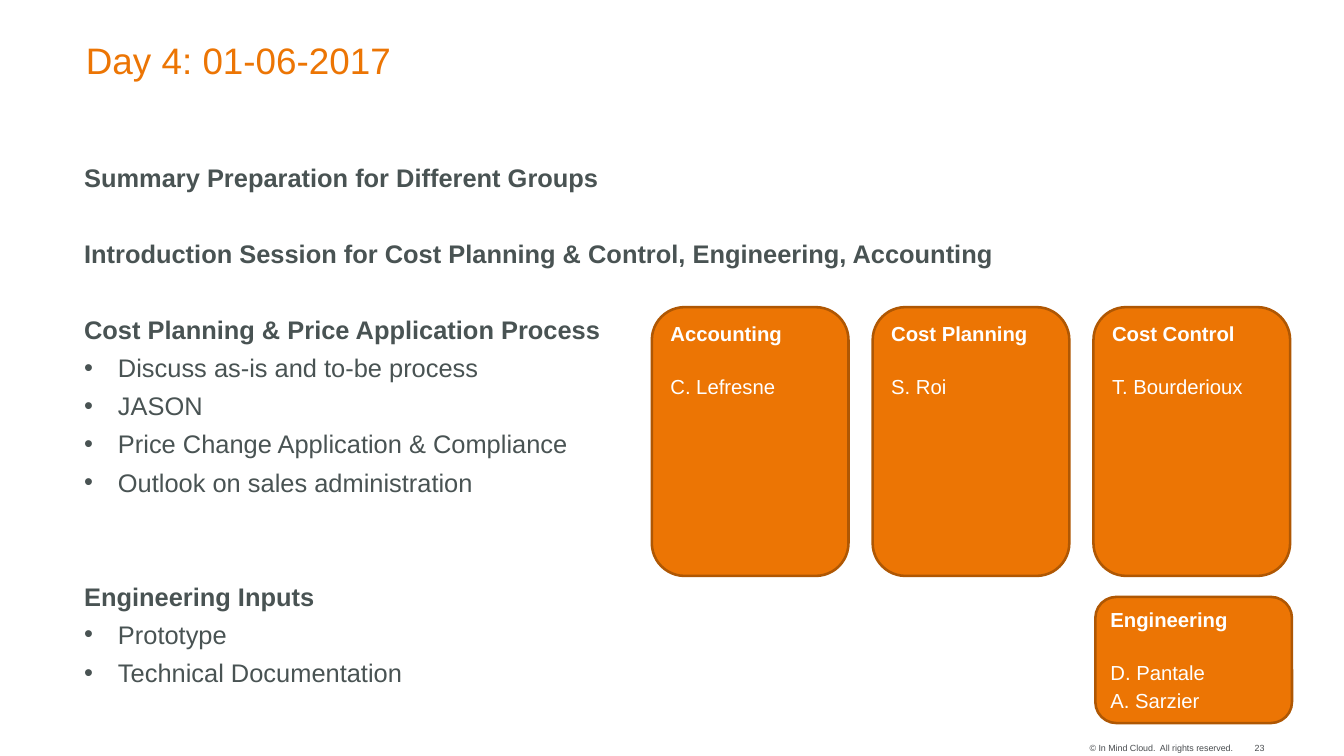
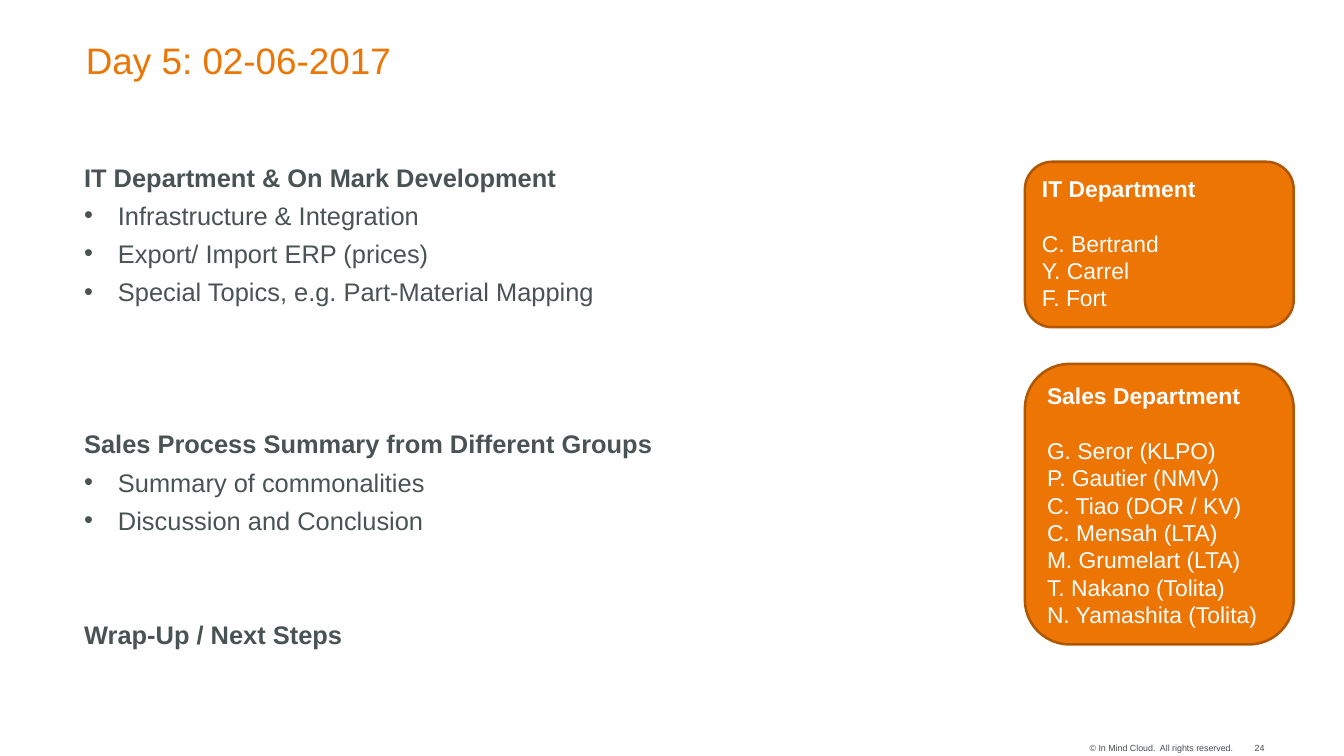
from dataclasses import dataclass

from lxml import etree
from pptx import Presentation
from pptx.dml.color import RGBColor
from pptx.enum.shapes import MSO_SHAPE
from pptx.enum.text import MSO_ANCHOR, MSO_AUTO_SIZE, PP_ALIGN
from pptx.oxml.ns import qn
from pptx.util import Inches, Pt

ROUND = MSO_SHAPE.ROUNDED_RECTANGLE
TOP = MSO_ANCHOR.TOP
FIXED = MSO_AUTO_SIZE.NONE
LEFT, RIGHT = PP_ALIGN.LEFT, PP_ALIGN.RIGHT


@dataclass(frozen=True)
class Theme:
    font: str = "Arial"
    orange: str = "EC7504"
    edge: str = "AF5703"
    text: str = "495353"
    note: str = "484C4F"
    white: str = "FFFFFF"
    title: int = 29
    body: int = 20
    small: int = 7
    gap: int = 6
    row: int = 30
    hang: float = 0.37


THEME = Theme()
WIDE, HIGH = Inches(14.7), Inches(8.27)
TITLE = (6.39, 4.96, 59.8, 5.08)
BODY = (6.26, 21.4, 87.55, 76.18)
NOTE = (80.66, 98.19, 11.09, 1.45)
PAGE = (93.27, 98.19, 0.82, 1.45)


def area(box):
    x, y, w, h = box
    return [int(n / 100) for n in (x * WIDE, y * HIGH, w * WIDE, h * HIGH)]


def place(shape, box):
    shape.left, shape.top, shape.width, shape.height = area(box)


def style(para, size, color, bold=False, align=LEFT, before=0):
    para.alignment = align
    para.space_before = Pt(before)
    para.line_spacing = 1.0
    font = para.font
    font.name = THEME.font
    font.size = Pt(size)
    font.bold = bold
    font.color.rgb = RGBColor.from_string(color)


def clear(frame):
    frame.margin_left = frame.margin_right = 0
    frame.margin_top = frame.margin_bottom = 0
    frame.vertical_anchor = TOP
    frame.auto_size = FIXED


def lines(frame, texts):
    frame.text = "\n".join(texts)
    return frame.paragraphs


def mark(para, bullet):
    props = para._p.get_or_add_pPr()
    inset = Inches(THEME.hang) if bullet else 0
    props.set("marL", str(inset))
    props.set("indent", str(-inset))
    if bullet:
        etree.SubElement(props, qn("a:buChar")).set("char", "•")
    else:
        etree.SubElement(props, qn("a:buNone"))


def head(slide, text):
    shape = slide.shapes.title
    place(shape, TITLE)
    clear(shape.text_frame)
    style(lines(shape.text_frame, [text])[0], THEME.title, THEME.orange)


def agenda(slide, parts):
    shape = slide.placeholders[1]
    place(shape, BODY)
    frame = shape.text_frame
    clear(frame)
    rows = []
    for skip, name, items in parts:
        rows.append((name, True, THEME.gap + skip * THEME.row))
        rows += [(item, False, THEME.gap) for item in items]
    paras = lines(frame, [row[0] for row in rows])
    for i, (para, (_, bold, before)) in enumerate(zip(paras, rows)):
        mark(para, not bold)
        style(para, THEME.body, THEME.text, bold,
              before=before if i else 0)


def card(slide, box, size, gap, name, people):
    shape = slide.shapes.add_shape(ROUND, *area(box))
    shape.shadow.inherit = False
    shape.fill.solid()
    shape.fill.fore_color.rgb = RGBColor.from_string(THEME.orange)
    shape.line.color.rgb = RGBColor.from_string(THEME.edge)
    shape.line.width = Pt(2)
    frame = shape.text_frame
    frame.word_wrap = True
    frame.vertical_anchor = TOP
    blank = round(size * 1.2, 1)
    for i, para in enumerate(lines(frame, [name, *people])):
        before = (0, blank + gap)[i] if i < 2 else gap
        style(para, size, THEME.white, i == 0, before=before)


def label(slide, box, text):
    frame = slide.shapes.add_textbox(*area(box)).text_frame
    clear(frame)
    frame.word_wrap = False
    style(lines(frame, [text])[0], THEME.small, THEME.note, align=RIGHT)


def page(deck, number, title, parts):
    slide = deck.slides.add_slide(deck.slide_layouts[1])
    head(slide, title)
    agenda(slide, parts)
    label(slide, NOTE, "© In Mind Cloud.  All rights reserved.")
    label(slide, PAGE, str(number))
    return slide


def main():
    deck = Presentation()
    deck.slide_width, deck.slide_height = WIDE, HIGH

    slide = page(deck, 23, "Day 4: 01-06-2017", [
        (0, "Summary Preparation for Different Groups", []),
        (1, "Introduction Session for Cost Planning & Control, "
            "Engineering, Accounting", []),
        (1, "Cost Planning & Price Application Process", [
            "Discuss as-is and to-be process",
            "JASON",
            "Price Change Application & Compliance",
            "Outlook on sales administration",
        ]),
        (2, "Engineering Inputs", ["Prototype", "Technical Documentation"]),
    ])
    teams = [
        ("Accounting", "C. Lefresne"),
        ("Cost Planning", "S. Roi"),
        ("Cost Control", "T. Bourderioux"),
    ]
    for i, (name, lead) in enumerate(teams):
        box = (48.5 + 16.43 * i, 40.63, 14.63, 35.55)
        card(slide, box, 16, 3, name, [lead])
    card(slide, (81.5, 78.96, 14.63, 16.69), 16, 3,
         "Engineering", ["D. Pantale", "A. Sarzier"])

    slide = page(deck, 24, "Day 5: 02-06-2017", [
        (0, "IT Department & On Mark Development", [
            "Infrastructure & Integration",
            "Export/ Import ERP (prices)",
            "Special Topics, e.g. Part-Material Mapping",
        ]),
        (3, "Sales Process Summary from Different Groups", [
            "Summary of commonalities",
            "Discussion and Conclusion",
        ]),
        (2, "Wrap-Up / Next Steps", []),
    ])
    card(slide, (76.26, 21.4, 20, 21.89), 18, 0, "IT Department",
         ["C. Bertrand", "Y. Carrel", "F. Fort"])
    card(slide, (76.26, 48.13, 20, 37.12), 18, 0, "Sales Department", [
        "G. Seror (KLPO)",
        "P. Gautier (NMV)",
        "C. Tiao (DOR / KV)",
        "C. Mensah (LTA)",
        "M. Grumelart (LTA)",
        "T. Nakano (Tolita)",
        "N. Yamashita (Tolita)",
    ])
    deck.save("out.pptx")


if __name__ == "__main__":
    main()
